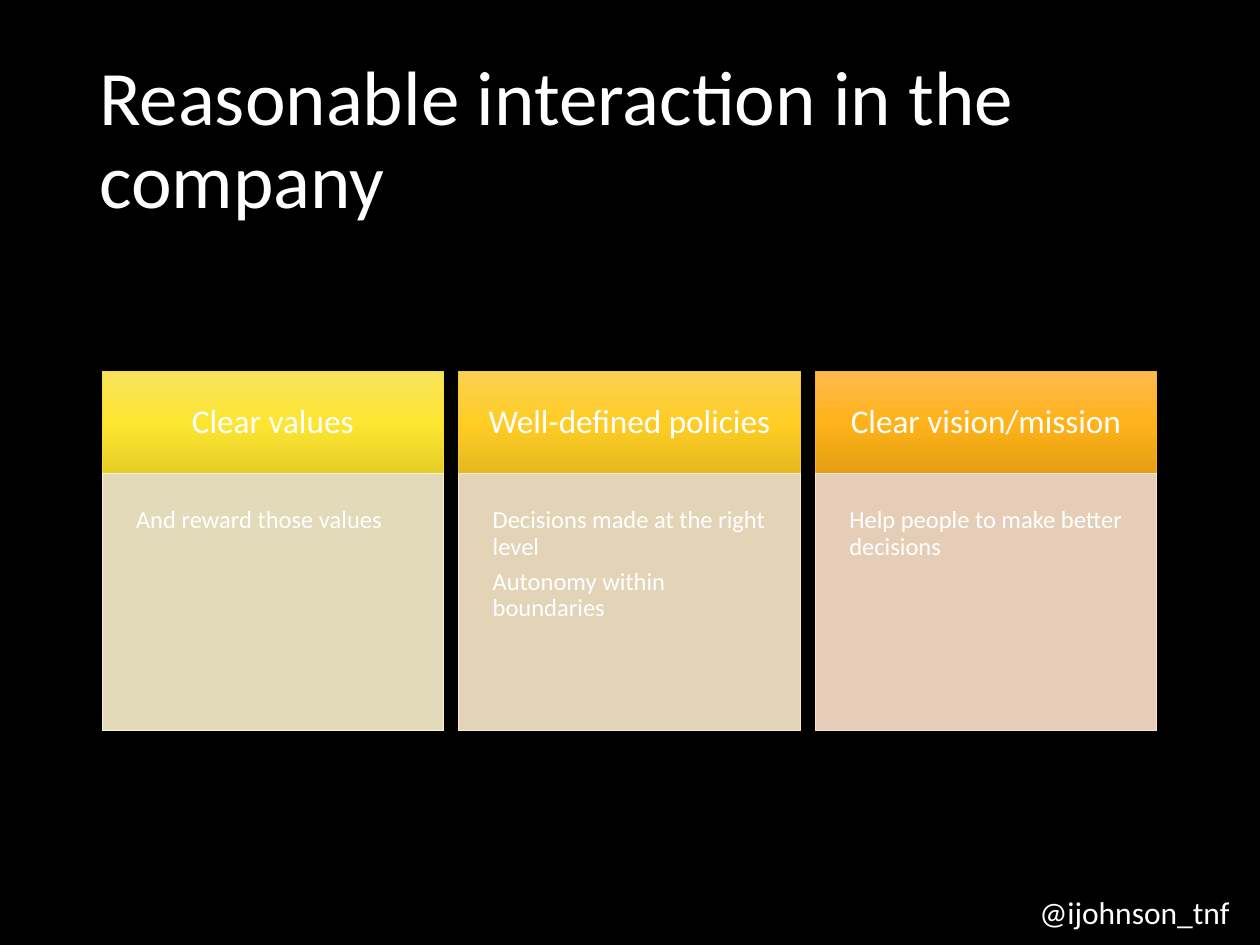
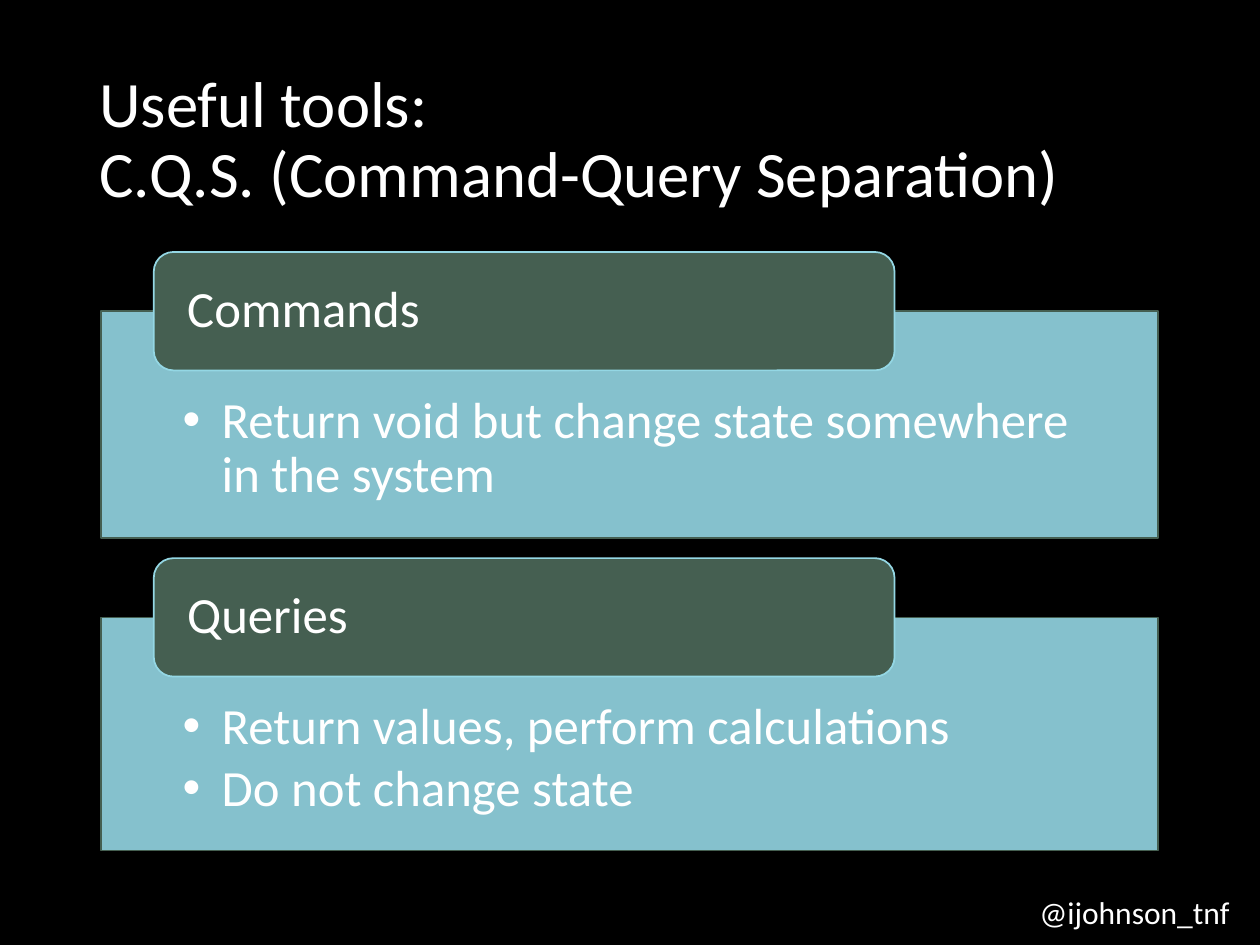
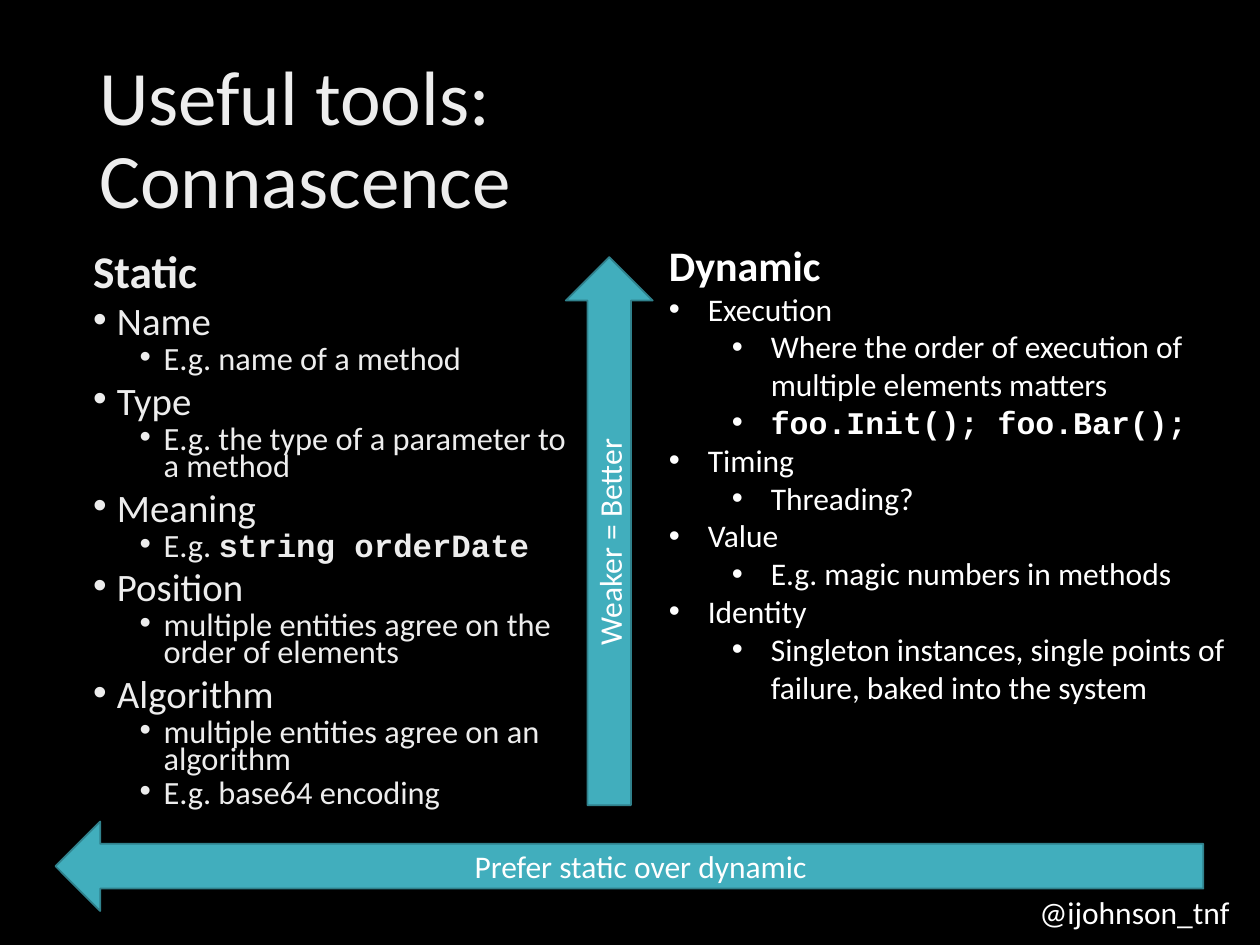
"""Build three black slides on company interaction, CQS and connascence."""
from dataclasses import dataclass

from lxml import etree
from pptx import Presentation
from pptx import util as u
from pptx.dml.color import RGBColor
from pptx.enum import shapes, text
from pptx.oxml.ns import qn

FONT, CODE_FONT = "Calibri", "Courier New"
COLORS = {
    "back": "000000", "white": "FFFFFF", "soft": "EDEDED",
    "green": "455F51", "sky": "94D7E4", "teal": "41AEBD", "teal_edge": "30818C",
}
COLUMNS = [
    ("Clear values", ["And reward those values"],
     ("F8E35C", "FDE531", "E5CE27"), "F4DE3A", "FBF2CE"),
    ("Well-defined policies",
     ["Decisions made at the right level", "Autonomy within boundaries"],
     ("FBD054", "FFCD24", "E5B81E"), "F8C92B", "FCECCD"),
    ("Clear vision/mission", ["Help people to make better decisions"],
     ("FFBA4F", "FFB219", "E59F14"), "FCB11C", "FEE4CC"),
]
PANELS = [
    ("Commands", 2.47, 1.8, ["Return void but change state somewhere in the system"]),
    ("Queries", 4.9, 1.85, ["Return values, perform calculations", "Do not change state"]),
]


@dataclass
class Style:
    """Format of one kind of paragraph; spacing in points, indents in inches."""
    size: float
    color: str = COLORS["white"]
    bold: bool = False
    align: text.PP_ALIGN = text.PP_ALIGN.LEFT
    line: float = 1.0
    before: float = 0
    after: float = 0
    level: int = 0
    margin: float = 0
    hang: float = 0


CENTER = text.PP_ALIGN.CENTER
HEADER = Style(19, align=CENTER, line=0.9, after=6.65)
DETAIL = Style(14, line=0.9, after=4.9)
TAB = Style(29, line=0.9)
PANEL_ITEM = Style(29, line=0.9, after=4.35, level=1, margin=0.31, hang=0.31)
LABEL = Style(18, align=CENTER)
STATIC_HEAD = Style(25.9, COLORS["soft"], True, line=0.7, before=7.5)
STATIC_ITEM = Style(22.2, COLORS["soft"], line=0.7, before=7.5, margin=0.19, hang=0.19)
STATIC_SUB = Style(18.5, COLORS["soft"], line=0.7, before=3.8, level=1, margin=0.56, hang=0.19)
DYNAMIC_HEAD = Style(24, bold=True)
DYNAMIC_ITEM = Style(18, margin=0.31, hang=0.31)
DYNAMIC_SUB = Style(18, level=1, margin=0.81, hang=0.31)

STATIC = [
    (STATIC_HEAD, "Static"),
    (STATIC_ITEM, "Name"),
    (STATIC_SUB, "E.g. name of a method"),
    (STATIC_ITEM, "Type"),
    (STATIC_SUB, "E.g. the type of a parameter to a method"),
    (STATIC_ITEM, "Meaning"),
    (STATIC_SUB, "E.g. ", "string orderDate"),
    (STATIC_ITEM, "Position"),
    (STATIC_SUB, "multiple entities agree on the order of elements"),
    (STATIC_ITEM, "Algorithm"),
    (STATIC_SUB, "multiple entities agree on an algorithm"),
    (STATIC_SUB, "E.g. base64 encoding"),
]
DYNAMIC = [
    (DYNAMIC_HEAD, "Dynamic"),
    (DYNAMIC_ITEM, "Execution"),
    (DYNAMIC_SUB, "Where the order of execution of multiple elements matters"),
    (DYNAMIC_SUB, "", "foo.Init(); foo.Bar();"),
    (DYNAMIC_ITEM, "Timing"),
    (DYNAMIC_SUB, "Threading?"),
    (DYNAMIC_ITEM, "Value"),
    (DYNAMIC_SUB, "E.g. magic numbers in methods"),
    (DYNAMIC_ITEM, "Identity"),
    (DYNAMIC_SUB, "Singleton instances, single points of failure, baked into the system"),
]


def rgb(value):
    """Turn a hex string into a colour."""
    return RGBColor.from_string(value)


def format_run(r, style, code=False):
    """Apply a style to a run, in bold monospace for code."""
    r.font.name = CODE_FONT if code else FONT
    r.font.size = u.Pt(style.size)
    r.font.bold = style.bold or code
    r.font.color.rgb = rgb(style.color)


def add_bullet(p, style):
    """Give a paragraph a hanging round bullet."""
    pPr = p._p.get_or_add_pPr()
    pPr.set("marL", str(u.Inches(style.margin)))
    pPr.set("indent", str(-u.Inches(style.hang)))
    etree.SubElement(pPr, qn("a:buFont")).set("typeface", "Arial")
    etree.SubElement(pPr, qn("a:buChar")).set("char", "•")


def write(tf, paragraphs, anchor=text.MSO_ANCHOR.TOP, insets=(0.1, 0.05, 0.1, 0.05), wrap=True):
    """Fill a text frame with (style, words[, code]) paragraphs."""
    tf.word_wrap = wrap
    tf.vertical_anchor = anchor
    tf.margin_left, tf.margin_top, tf.margin_right, tf.margin_bottom = map(u.Inches, insets)
    for i, (style, words, *code) in enumerate(paragraphs):
        p = tf.add_paragraph() if i else tf.paragraphs[0]
        p.text = words
        p.alignment, p.level, p.line_spacing = style.align, style.level, style.line
        p.space_before, p.space_after = u.Pt(style.before), u.Pt(style.after)
        for r in p.runs:
            format_run(r, style)
        for snippet in code:
            r = p.add_run()
            r.text = snippet
            format_run(r, style, code=True)
        if style.hang:
            add_bullet(p, style)


def add_text(s, box, paragraphs, **options):
    """Add a text box and return its frame."""
    tf = s.shapes.add_textbox(*map(u.Inches, box)).text_frame
    write(tf, paragraphs, **options)
    return tf


def add_box(s, kind, box, fill, edge, width=1.0, alpha=None):
    """Add a flat shape with a solid fill, or a vertical gradient for several colours."""
    sp = s.shapes.add_shape(kind, *map(u.Inches, box))
    sp.shadow.inherit = False
    sp.line.color.rgb = rgb(edge)
    sp.line.width = u.Pt(width)
    if isinstance(fill, tuple):
        fill_gradient(sp, fill)
    else:
        sp.fill.solid()
        sp.fill.fore_color.rgb = rgb(fill)
    if alpha:
        color = sp._element.spPr.find(qn("a:solidFill")).find(qn("a:srgbClr"))
        etree.SubElement(color, qn("a:alpha")).set("val", str(alpha * 1000))
    return sp


def fill_gradient(sp, colors):
    """Fill a shape from top to bottom with evenly spaced colours."""
    sp.fill.gradient()
    sp.fill.gradient_angle = 270
    stops = next(sp._element.spPr.iter(qn("a:gsLst")))
    for stop in list(stops):
        stops.remove(stop)
    for i, color in enumerate(colors):
        stop = etree.SubElement(stops, qn("a:gs"))
        stop.set("pos", str(100000 * i // (len(colors) - 1)))
        etree.SubElement(stop, qn("a:srgbClr")).set("val", color)


def add_slide(prs, title, size=44, color=COLORS["white"]):
    """Add a black slide with its title and the speaker's handle."""
    s = prs.slides.add_slide(prs.slide_layouts[6])
    s.background.fill.solid()
    s.background.fill.fore_color.rgb = rgb(COLORS["back"])
    add_text(s, (0.69, 0.4, 8.62, 1.45), [(Style(size, color, line=0.9), title)],
             anchor=text.MSO_ANCHOR.MIDDLE)
    add_text(s, (8.15, 7.04, 1.77, 0.4), [(Style(18), "@ijohnson_tnf")], wrap=False)
    return s


def add_column(s, left, header, details, gradient, edge, tint):
    """Add a gradient header above a pale box of details."""
    rect = shapes.MSO_SHAPE.RECTANGLE
    sp = add_box(s, rect, (left, 2.95, 2.71, 0.81), gradient, edge, 0.5)
    write(sp.text_frame, [(HEADER, header)], text.MSO_ANCHOR.MIDDLE, (0.21,) * 4)
    sp = add_box(s, rect, (left, 3.76, 2.71, 2.04), tint, tint, 0.5, alpha=90)
    write(sp.text_frame, [(DETAIL, d) for d in details], insets=(0.27,) * 4)


def add_panel(s, name, top, height, items):
    """Add a bulleted panel with a rounded tab over its top edge."""
    sp = add_box(s, shapes.MSO_SHAPE.RECTANGLE, (0.8, top, 8.39, height),
                 COLORS["sky"], COLORS["green"], alpha=90)
    write(sp.text_frame, [(PANEL_ITEM, i) for i in items], insets=(0.65, 0.66, 0.65, 0.23))
    sp = add_box(s, shapes.MSO_SHAPE.ROUNDED_RECTANGLE, (1.22, top - 0.47, 5.88, 0.94),
                 COLORS["green"], COLORS["sky"])
    write(sp.text_frame, [(TAB, name)], text.MSO_ANCHOR.MIDDLE, (0.22, 0, 0.22, 0))


def add_arrow(s, kind, box, label):
    """Add a labelled block arrow and return its frame."""
    sp = add_box(s, kind, box, COLORS["teal"], COLORS["teal_edge"])
    write(sp.text_frame, [(LABEL, label)], text.MSO_ANCHOR.MIDDLE)
    return sp.text_frame


def main():
    """Build and save the slides."""
    prs = Presentation()
    prs.slide_width, prs.slide_height = u.Inches(10), u.Inches(7.5)

    s = add_slide(prs, "Reasonable interaction in the company")
    for i, column in enumerate(COLUMNS):
        add_column(s, 0.81 + 2.83 * i, *column)

    s = add_slide(prs, "Useful tools:\nC.Q.S. (Command-Query Separation)", 37)
    for panel in PANELS:
        add_panel(s, *panel)

    s = add_slide(prs, "Useful tools:\nConnascence", color=COLORS["soft"])
    add_text(s, (0.64, 2, 4.04, 4.68), STATIC)
    add_text(s, (5.21, 1.85, 4.63, 4.14), DYNAMIC)
    tf = add_arrow(s, shapes.MSO_SHAPE.UP_ARROW, (4.49, 2.04, 0.69, 4.35), "Weaker = Better")
    tf._txBody.bodyPr.set("vert", "vert270")
    add_arrow(s, shapes.MSO_SHAPE.LEFT_ARROW, (0.44, 6.52, 9.11, 0.71),
              "Prefer static over dynamic")

    prs.save("out.pptx")


if __name__ == "__main__":
    main()
